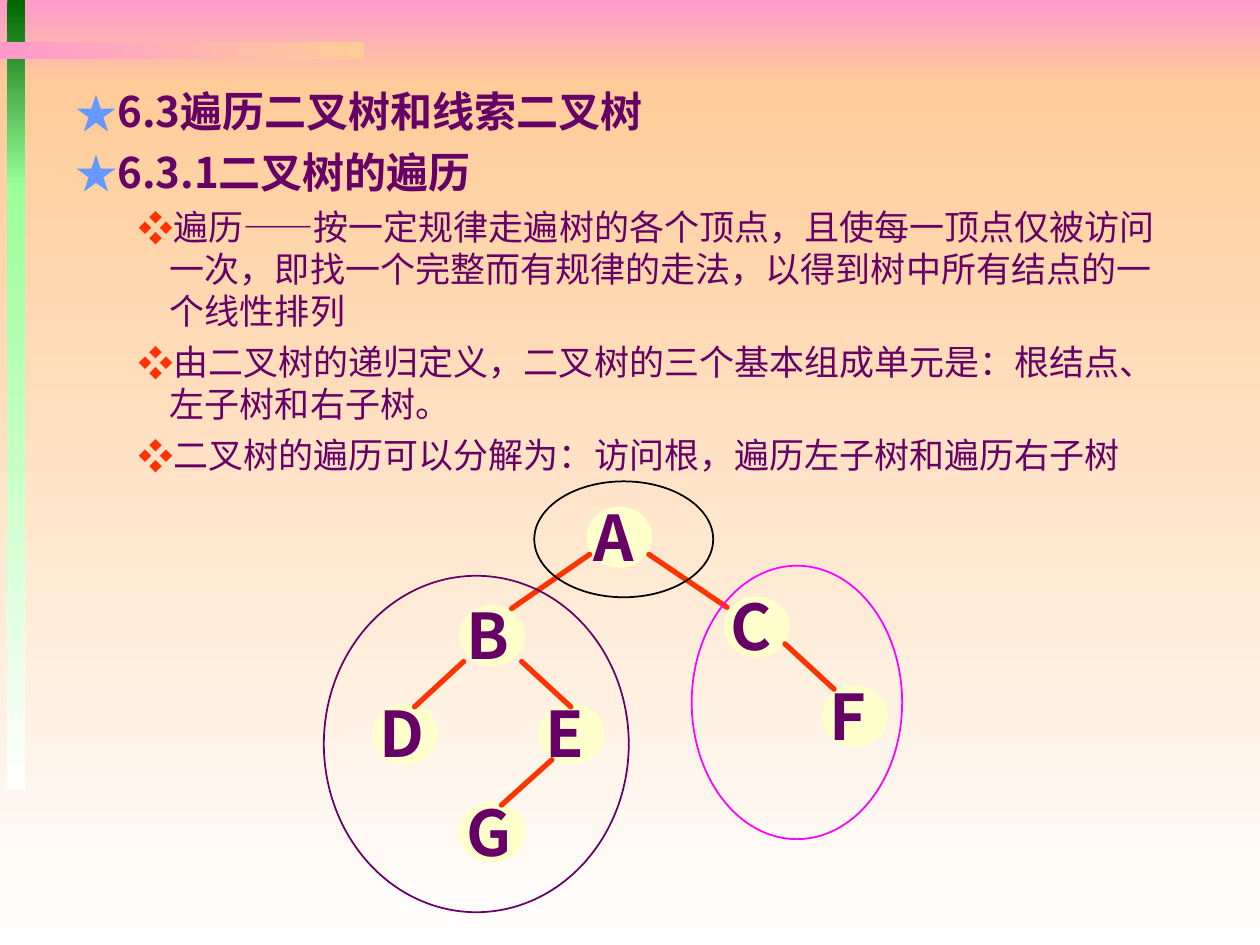
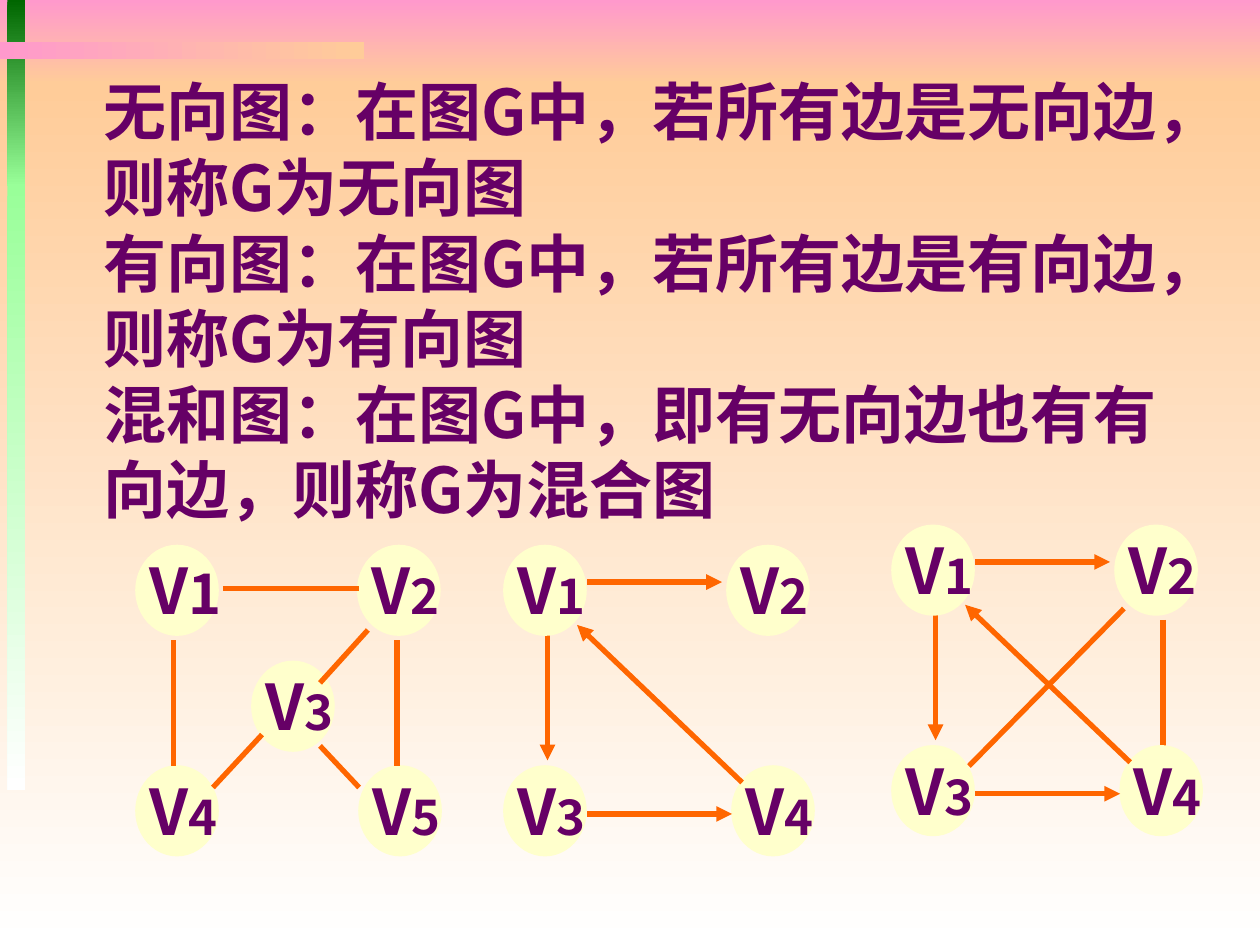
from lxml import etree
from pptx import Presentation
from pptx.dml.color import RGBColor
from pptx.enum.shapes import MSO_CONNECTOR, MSO_SHAPE
from pptx.enum.text import MSO_ANCHOR
from pptx.oxml.ns import qn
from pptx.util import Inches, Pt

RECT, OVAL = MSO_SHAPE.RECTANGLE, MSO_SHAPE.OVAL
LINE, TOP = MSO_CONNECTOR.STRAIGHT, MSO_ANCHOR.TOP
COLS, ROWS = 100, 75
SANS, LATIN = "Noto Sans CJK SC", "Arial"
PLUM, CREAM, PINK, PEACH = "660066", "FFFFCC", "FF99CC", "FFCC99"
WHITE, GREEN, MINT = "FFFFFF", "006600", "99FF99"
RED, ORANGE, BLUE, ROSE, BLACK = "FF3300", "FF6600", "6699FF", "FF00FF", "000000"


def tint(code):
    """Turn a hex string into a colour."""
    return RGBColor.from_string(code)


class Deck:
    """Hold the style and the current slide, measured on a 100 by 75 grid."""

    def __init__(self):
        """Open an empty deck of 10 by 7.5 inches."""
        self.prs = Presentation()
        self.prs.slide_width, self.prs.slide_height = Inches(10), Inches(7.5)
        self.col = self.prs.slide_width / COLS
        self.row = self.prs.slide_height / ROWS

    def place(self, x, y, w, h):
        """Turn grid numbers into lengths."""
        return round(x * self.col), round(y * self.row), round(w * self.col), round(h * self.row)

    def page(self):
        """Start a slide with the shared backdrop and bands."""
        self.slide = self.prs.slides.add_slide(self.prs.slide_layouts[6])
        self.blend(0, 0, 100, 6.7, PINK, PEACH)
        self.blend(0, 6.7, 100, 68.3, PEACH, WHITE)
        self.blend(0.6, 0, 1.4, 14.8, GREEN, MINT)
        self.blend(0.6, 14.6, 1.4, 48.1, MINT, WHITE)
        self.blend(0, 3.3, 28.9, 1.4, PINK, PEACH, 0)

    def shape(self, kind, *area):
        """Add a preset shape without a shadow."""
        item = self.slide.shapes.add_shape(kind, *self.place(*area))
        item.shadow.inherit = False
        return item

    def blend(self, x, y, w, h, start, end, angle=270):
        """Add a band with a two-colour gradient."""
        band = self.shape(RECT, x, y, w, h)
        band.line.fill.background()
        band.fill.gradient()
        band.fill.gradient_angle = angle
        for stop, code, pos in zip(band.fill.gradient_stops, (start, end), (0, 1)):
            stop.color.rgb = tint(code)
            stop.position = pos

    def oval(self, x, y, w, h, line, fill=None):
        """Add an outlined oval, filled if a fill is given."""
        item = self.shape(OVAL, x, y, w, h)
        item.line.color.rgb = tint(line)
        item.line.width = Pt(1)
        if fill:
            item.fill.solid()
            item.fill.fore_color.rgb = tint(fill)
        else:
            item.fill.background()

    def link(self, start, end, code, tip=False, cap="flat"):
        """Add a straight line, with an arrowhead at its end if asked."""
        x, y, to_x, to_y = self.place(*start, *end)
        item = self.slide.shapes.add_connector(LINE, x, y, to_x, to_y)
        item.line.color.rgb = tint(code)
        item.line.width = Pt(3)
        stroke = item.line._get_or_add_ln()
        stroke.set("cap", cap)
        if tip:
            etree.SubElement(stroke, qn("a:tailEnd"), type="triangle")
        etree.SubElement(item._element.spPr, qn("a:effectLst"))

    def box(self, x, y, w, h, wrap=True):
        """Add a text box and return its frame."""
        frame = self.slide.shapes.add_textbox(*self.place(x, y, w, h)).text_frame
        frame.word_wrap = wrap
        frame.vertical_anchor = TOP
        return frame

    def style(self, para, sizes, face=SANS, bold=True):
        """Format the runs of a paragraph, one size for each in turn."""
        para.line_spacing = Pt(1.2 * sizes[0])
        for k, run in enumerate(para.runs):
            font = run.font
            font.size = Pt(sizes[min(k, len(sizes) - 1)])
            font.name, font.bold = face, bold
            font.color.rgb = tint(PLUM)
            etree.SubElement(run._r.get_or_add_rPr(), qn("a:ea"), typeface=SANS)

    def bullet(self, para, mark, code, left, hang):
        """Give a paragraph a coloured bullet and a hanging indent."""
        props = para._p.get_or_add_pPr()
        props.set("marL", str(round(left * self.col)))
        props.set("indent", str(round(-hang * self.col)))
        hue = etree.SubElement(props, qn("a:buClr"))
        etree.SubElement(hue, qn("a:srgbClr"), val=code)
        etree.SubElement(props, qn("a:buFont"), typeface=SANS)
        etree.SubElement(props, qn("a:buChar"), char=mark)

    def list(self, items, *area):
        """Add a list of headings and points."""
        frame = self.box(*area)
        for k, (head, text) in enumerate(items):
            para = frame.paragraphs[0] if k == 0 else frame.add_paragraph()
            para.text = text
            if head:
                self.bullet(para, "★", BLUE, 8.1, 3.1)
                self.style(para, [24])
            else:
                self.bullet(para, "❖", RED, 12.5, 2.5)
                self.style(para, [20], LATIN, False)
            if k:
                para.space_before = Pt(6 if head else 5)

    def label(self, x, y, w, h, parts, sizes):
        """Add a one-line node label made of one run per part."""
        frame = self.box(x, y, w, h, False)
        frame.margin_left = round(1.85 * self.col)
        para = frame.paragraphs[0]
        for part in parts:
            para.add_run().text = part
        self.style(para, sizes)

    def leaf(self, name, x, y):
        """Add a tree node."""
        self.oval(x, y, 5.1, 4.7, CREAM, CREAM)
        self.label(x - 1.35, y - 1.25, 9.3, 7, [name], [36])

    def node(self, num, x, y, size=28):
        """Add a graph node."""
        self.oval(x, y, 6.5, 7.1, CREAM, CREAM)
        self.label(x - 0.8, y, 9.2, 11.7, ["V", num], [36, size])

    def graph(self, x, y, plain=()):
        """Add a four-node graph with arrows and some plain edges behind."""
        def at(spot):
            return x + spot[0], y + spot[1]

        for start, end in plain:
            self.link(at(start), at(end), ORANGE)
        self.link(at((3.45, 7.05)), at((3.45, 17.05)), ORANGE, True)
        for num, spot in zip("1234", CORNERS):
            self.node(num, *at(spot))
        for start, end in ARROWS:
            self.link(at(start), at(end), ORANGE, True)


POINTS = [
    (True, "6.3遍历二叉树和线索二叉树"),
    (True, "6.3.1二叉树的遍历"),
    (False, "遍历——按一定规律走遍树的各个顶点，且使每一顶点仅被访问一次，即找一个完整而有规律的走法，以得到树中所有结点的一个线性排列"),
    (False, "由二叉树的递归定义，二叉树的三个基本组成单元是：根结点、左子树和右子树。"),
    (False, "二叉树的遍历可以分解为：访问根，遍历左子树和遍历右子树"),
]
LEAVES = {"A": (46.6, 40.3), "F": (65.3, 54.5), "G": (36.5, 63.7), "E": (42.8, 55.9),
          "D": (29.6, 55.9), "C": (57.5, 47.4), "B": (36.5, 48.1)}
TWIGS = [((46.8, 44), (40.6, 48.3)), ((51.5, 44), (57.7, 48.2)), ((41.4, 52.5), (45.3, 56.1)),
         ((43.8, 60.3), (39.8, 63.9)), ((36.8, 52.5), (32.9, 56.1)), ((62.3, 51.1), (66.2, 54.7))]
RINGS = [(25.7, 45.7, 24.2, 26.7, PLUM), (54.9, 44.9, 16.7, 21.7, ROSE),
         (42.4, 38.2, 14.2, 9.2, BLACK)]
TERMS = [
    "无向图：在图G中，若所有边是无向边，则称G为无向图",
    "有向图：在图G中，若所有边是有向边，则称G为有向图",
    "混和图：在图G中，即有无向边也有有向边，则称G为混合图",
]
NODES = [("5", 28.5, 60.8), ("1", 10.8, 43.3, 32), ("2", 28.4, 43.3),
         ("4", 10.8, 60.8), ("3", 20, 52.5)]
EDGES = [((13.8, 50.8), (13.8, 60.8)), ((17.7, 46.7), (28.5, 46.7)),
         ((31.5, 50.8), (31.5, 60.8)), ((20.8, 58.3), (16.9, 62.5)),
         ((29.2, 50), (25.4, 54.2)), ((25.4, 59.2), (28.5, 62.5))]
CORNERS = [(0, 0), (17.7, 0), (0, 17.5), (18.1, 17.5)]
ARROWS = [((6.6, 21.3), (18.1, 21.3)), ((6.6, 2.9), (17.3, 2.9)), ((18.9, 18.8), (5.8, 6.3))]
CROSS = [((21.5, 7.5), (21.5, 17.5)), ((6.1, 19.1), (18.4, 6.6))]


def tree(deck):
    """Draw the slide on walking a binary tree."""
    deck.page()
    deck.list(POINTS, 0, 6.3, 93, 37)
    for name, spot in LEAVES.items():
        deck.leaf(name, *spot)
    for start, end in TWIGS:
        deck.link(start, end, RED, cap="rnd")
    for ring in RINGS:
        deck.oval(*ring)


def kinds(deck):
    """Draw the slide on the three kinds of graph."""
    deck.page()
    para = deck.box(7.2, 5.3, 87.4, 37).paragraphs[0]
    para.text = "\n".join(TERMS)
    deck.style(para, [36])
    for node in NODES:
        deck.node(*node)
    for start, end in EDGES:
        deck.link(start, end, ORANGE)
    deck.graph(40, 43.3)
    deck.graph(70.8, 41.7, CROSS)


def main():
    """Build both slides and save them."""
    deck = Deck()
    tree(deck)
    kinds(deck)
    deck.prs.save("out.pptx")


if __name__ == "__main__":
    main()
